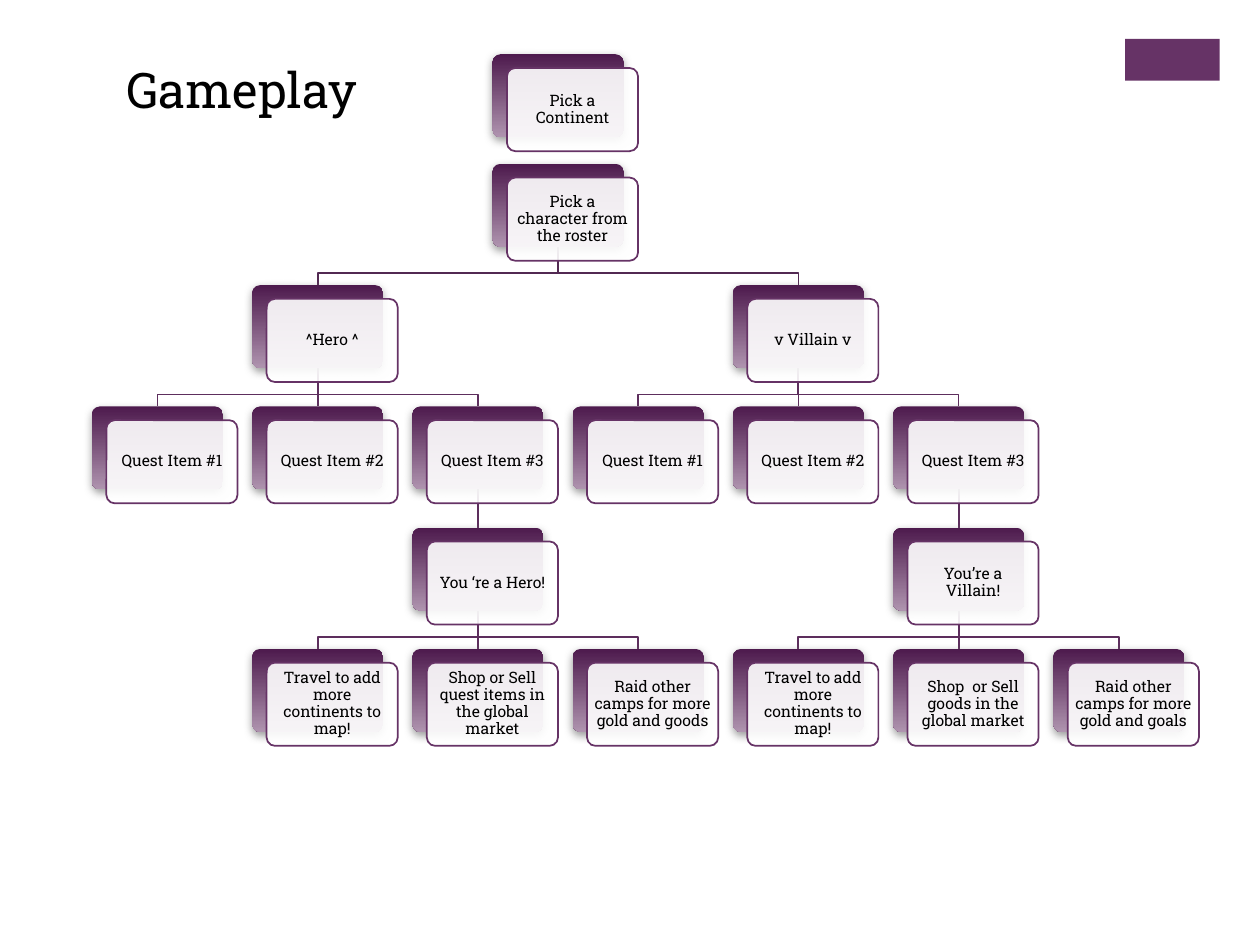
import pptx
import pptx.util
import pptx.dml.color
import pptx.enum.shapes
import pptx.enum.text
import pptx.oxml
import pptx.oxml.ns

Inches, Pt = pptx.util.Inches, pptx.util.Pt
RGB = pptx.dml.color.RGBColor.from_string
Shape = pptx.enum.shapes.MSO_SHAPE
Align, Anchor = pptx.enum.text.PP_ALIGN, pptx.enum.text.MSO_ANCHOR
NS = pptx.oxml.ns.nsdecls("a")

THEME = {
    "font": "Roboto Slab", "title": Pt(28), "body": Pt(9), "line": Pt(1),
    "text": RGB("000000"), "accent": RGB("663366"), "face": RGB("FFFFFF"),
    "shade": (RGB("4D1A4D"), RGB("AF94AF")),
    "trunk": RGB("522952"), "branch": RGB("5D2E5D"),
}

# Grid: seven columns of cards; the first card sits above the tree
LEFT, COLUMN = 0.73, 7.63 / 6
CARD_W, CARD_H = 1.04, 0.66
FACE_DX, FACE_DY = 0.115, 0.11
ROW = 3.85 / 4
ROW_TOPS = [0.43] + [1.3 + ROW * step for step in range(5)]
ELBOW = 0.21

# Row, column, wording, parent (row, column)
CARDS = [
    (0, 2.5, "Pick a Continent", None),
    (1, 2.5, "Pick a character from the roster", None),
    (2, 1, "^Hero ^", (1, 2.5)),
    (3, 0, "Quest Item #1", (2, 1)),
    (3, 1, "Quest Item #2", (2, 1)),
    (3, 2, "Quest Item #3", (2, 1)),
    (4, 2, "You ‘re a Hero!", (3, 2)),
    (5, 1, "Travel to add more continents to map!", (4, 2)),
    (5, 2, "Shop or Sell quest items in the global market", (4, 2)),
    (5, 3, "Raid other camps for more gold and goods", (4, 2)),
    (2, 4, "v Villain v", (1, 2.5)),
    (3, 3, "Quest Item #1", (2, 4)),
    (3, 4, "Quest Item #2", (2, 4)),
    (3, 5, "Quest Item #3", (2, 4)),
    (4, 5, "You’re a Villain!", (3, 5)),
    (5, 4, "Travel to add more continents to map!", (4, 5)),
    (5, 5, "Shop  or Sell goods in the global market", (4, 5)),
    (5, 6, "Raid other camps for more gold and goals", (4, 5)),
]


def apply_format(target, **values):
    for name, value in values.items():
        setattr(target, name, value)


def add_box(shape_type, left, top, width, height):
    """Add a preset shape, given in inches, without line or shadow."""
    box = page.shapes.add_shape(
        shape_type, Inches(left), Inches(top), Inches(width), Inches(height))
    box.shadow.inherit = False
    box.line.fill.background()
    return box


deck = pptx.Presentation()
deck.slide_width, deck.slide_height = Inches(10), Inches(7.5)
page = deck.slides.add_slide(deck.slide_layouts[5])

# Title
title = page.shapes.title
apply_format(title, left=Inches(0.9), top=Inches(0.42),
             width=Inches(2.7), height=Inches(0.57))
title.text = "Gameplay"
apply_format(title.text_frame, vertical_anchor=Anchor.TOP, word_wrap=True,
             auto_size=pptx.enum.text.MSO_AUTO_SIZE.NONE)
para = title.text_frame.paragraphs[0]
para.alignment = Align.LEFT
apply_format(para.font, name=THEME["font"], size=THEME["title"])
para.font.color.rgb = THEME["text"]

# Corner block
block = add_box(Shape.RECTANGLE, 8.93, 0.31, 0.75, 0.33)
block.fill.solid()
block.fill.fore_color.rgb = THEME["accent"]

# Links from each parent to its children, behind the cards
for row, column, wording, parent in CARDS:
    if parent is None:
        continue
    parent_row, parent_column = parent
    start_x = Inches(LEFT + parent_column * COLUMN + CARD_W / 2)
    end_x = Inches(LEFT + column * COLUMN + CARD_W / 2)
    start_y = Inches(ROW_TOPS[parent_row] + CARD_H)
    bend_y = start_y + Inches(ELBOW)
    end_y = Inches(ROW_TOPS[row])
    if column == parent_column:
        link = page.shapes.add_connector(
            pptx.enum.shapes.MSO_CONNECTOR.STRAIGHT,
            start_x, start_y, end_x, end_y)
        link._element.spPr.append(pptx.oxml.parse_xml(f"<a:effectLst {NS}/>"))
    else:
        outline = page.shapes.build_freeform(start_x, start_y)
        outline.add_line_segments(
            [(start_x, bend_y), (end_x, bend_y), (end_x, end_y)], close=False)
        link = outline.convert_to_shape()
        link.fill.background()
        link.shadow.inherit = False
    link.line.color.rgb = THEME["trunk" if parent_row == 1 else "branch"]
    link.line.width = THEME["line"]

# Cards: a shaded back and a nearly opaque white face
for row, column, wording, parent in CARDS:
    left, top = LEFT + column * COLUMN, ROW_TOPS[row]

    back = add_box(Shape.ROUNDED_RECTANGLE, left, top, CARD_W, CARD_H)
    back.adjustments[0] = 0.1
    back.fill.gradient()
    back.fill.gradient_angle = 270
    for stop, color in zip(back.fill.gradient_stops, THEME["shade"]):
        stop.color.rgb = color
    effects = back._element.spPr.find(pptx.oxml.ns.qn("a:effectLst"))
    effects.append(pptx.oxml.parse_xml(
        f'<a:outerShdw {NS} blurRad="{Pt(5)}" dist="{Pt(2)}" dir="5400000" '
        'rotWithShape="0"><a:srgbClr val="808080"><a:alpha val="75000"/>'
        '</a:srgbClr></a:outerShdw>'))

    face = add_box(Shape.ROUNDED_RECTANGLE, left + FACE_DX, top + FACE_DY,
                   CARD_W, CARD_H)
    face.adjustments[0] = 0.1
    face.fill.solid()
    face.fill.fore_color.rgb = THEME["face"]
    face.fill._xPr.find(".//" + pptx.oxml.ns.qn("a:srgbClr")).append(
        pptx.oxml.parse_xml(f'<a:alpha {NS} val="90000"/>'))
    face.line.color.rgb = THEME["accent"]
    face.line.width = THEME["line"]

    frame = face.text_frame
    apply_format(frame, word_wrap=True, vertical_anchor=Anchor.MIDDLE,
                 **{f"margin_{side}": Inches(0.04)
                    for side in ("left", "top", "right", "bottom")})
    para = frame.paragraphs[0]
    apply_format(para, text=wording, alignment=Align.CENTER, line_spacing=0.9)
    apply_format(para.font, name=THEME["font"], size=THEME["body"])
    para.font.color.rgb = THEME["text"]

deck.save("out.pptx")
